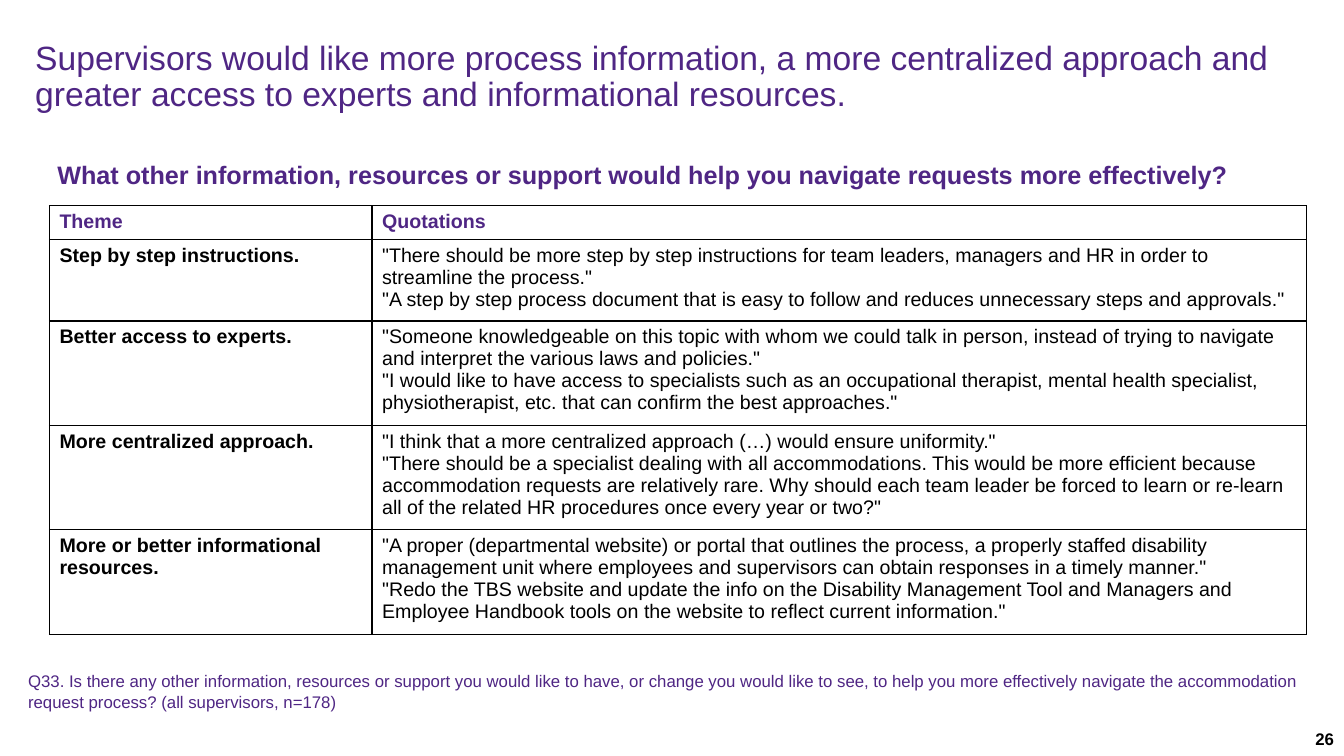
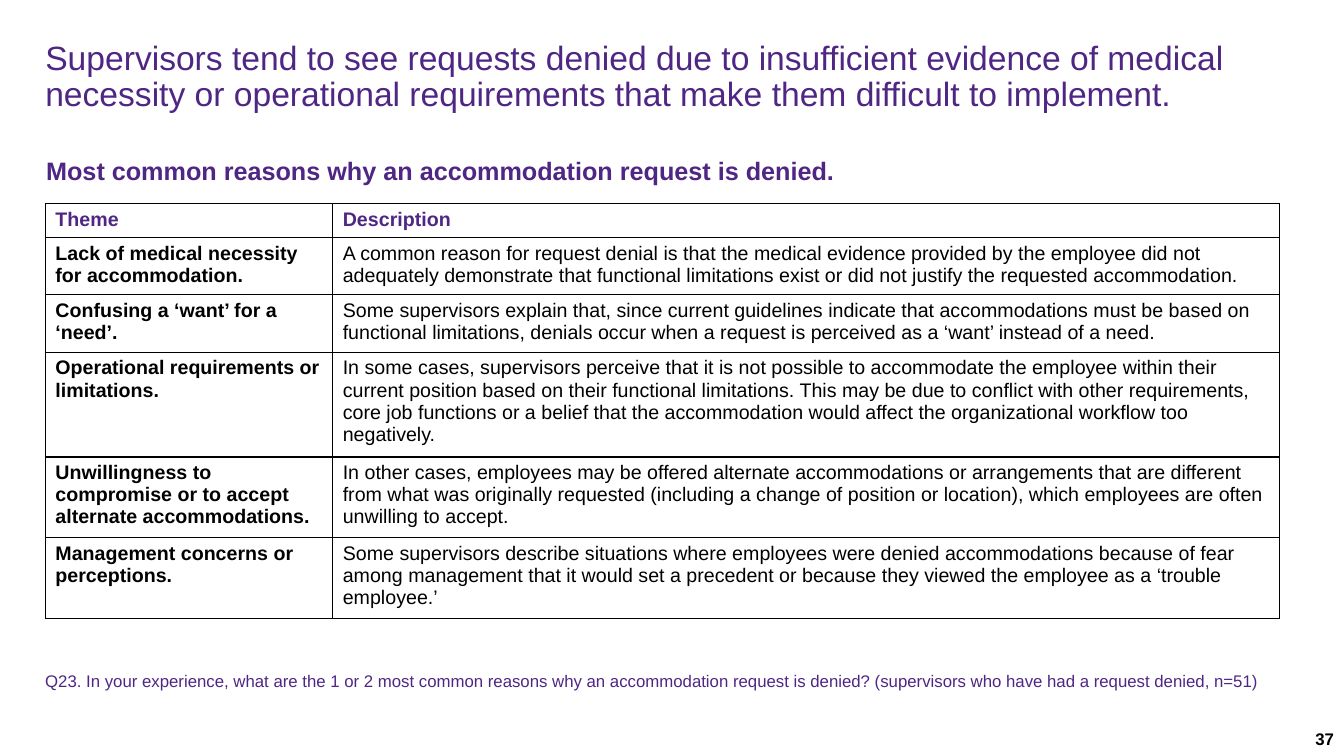
from dataclasses import dataclass

from lxml import etree
from pptx import Presentation
from pptx.dml.color import RGBColor
from pptx.enum import text
from pptx.oxml.ns import qn
from pptx.util import Inches, Pt

PURPLE = RGBColor(0x4F, 0x26, 0x84)
BLACK = RGBColor(0, 0, 0)
WHITE = RGBColor(0xFF, 0xFF, 0xFF)
FONT = "Arial"


@dataclass
class Box:
    left: float
    top: float
    width: float
    height: float


@dataclass
class Style:
    size: int
    color: RGBColor = PURPLE
    bold: bool = False


@dataclass
class Row:
    height: float
    theme: str
    detail: str


@dataclass
class ThemeSlide:
    title: str
    title_box: Box
    heading: str
    heading_box: Box
    table_left: float
    table_top: float
    columns: tuple[float, float]
    rows: list[Row]
    question: str
    question_box: Box
    number: int


# Shared styles and positions
TITLE = Style(24)
HEADING = Style(18, bold=True)
TABLE_HEAD = Style(14, bold=True)
THEME = Style(14, BLACK, True)
DETAIL = Style(14, BLACK)
QUESTION = Style(12)
NUMBER = Style(12, BLACK, True)
NUMBER_BOX = Box(10.33, 7.18, 3, 0.32)


def write(tf, content: str, style: Style) -> None:
    tf.text = content
    for p in tf.paragraphs:
        for r in p.runs:
            r.font.name = FONT
            r.font.size = Pt(style.size)
            r.font.bold = style.bold
            r.font.color.rgb = style.color


def add_text(slide, box: Box, content: str, style: Style, wrap: bool = True):
    sp = slide.shapes.add_textbox(Inches(box.left), Inches(box.top),
                                  Inches(box.width), Inches(box.height))
    tf = sp.text_frame
    tf.word_wrap = wrap
    write(tf, content, style)
    return tf


def add_title(slide, box: Box, content: str) -> None:
    tf = add_text(slide, box, content, TITLE)
    tf.margin_left = tf.margin_right = 0
    tf.margin_top = tf.margin_bottom = Inches(0.02)
    tf.paragraphs[0].line_spacing = 0.9


def add_borders(cell) -> None:
    tc_pr = cell._tc.get_or_add_tcPr()
    for i, side in enumerate(("lnL", "lnR", "lnT", "lnB")):
        line = etree.Element(qn(f"a:{side}"), w=str(Pt(1)))
        fill = etree.SubElement(line, qn("a:solidFill"))
        etree.SubElement(fill, qn("a:srgbClr"), val=str(BLACK))
        tc_pr.insert(i, line)


def add_theme_table(slide, data: ThemeSlide) -> None:
    height = sum(row.height for row in data.rows)
    frame = slide.shapes.add_table(
        len(data.rows), 2, Inches(data.table_left), Inches(data.table_top),
        Inches(sum(data.columns)), Inches(height))
    table = frame.table
    table.first_row = table.horz_banding = False
    for column, width in zip(table.columns, data.columns):
        column.width = Inches(width)
    for i, row in enumerate(data.rows):
        table.rows[i].height = Inches(row.height)
        styles = (THEME, DETAIL) if i else (TABLE_HEAD, TABLE_HEAD)
        for j, content in enumerate((row.theme, row.detail)):
            cell = table.cell(i, j)
            cell.fill.solid()
            cell.fill.fore_color.rgb = WHITE
            write(cell.text_frame, content, styles[j])
            add_borders(cell)


def add_theme_slide(prs, data: ThemeSlide) -> None:
    slide = prs.slides.add_slide(prs.slide_layouts[6])
    add_title(slide, data.title_box, data.title)
    add_text(slide, data.heading_box, data.heading, HEADING, wrap=False)
    add_theme_table(slide, data)
    add_text(slide, data.question_box, data.question, QUESTION)
    tf = add_text(slide, NUMBER_BOX, str(data.number), NUMBER)
    tf.paragraphs[0].alignment = text.PP_ALIGN.RIGHT


# Slide content
SLIDES = [
    ThemeSlide(
        title="Supervisors would like more process information, a more centralized "
              "approach and greater access to experts and informational resources.",
        title_box=Box(0.35, 0.39, 12.76, 0.77),
        heading="What other information, resources or support would help you "
                "navigate requests more effectively?",
        heading_box=Box(0.47, 1.53, 11.93, 0.4),
        table_left=0.49,
        table_top=2.04,
        columns=(3.2, 9.27),
        rows=[
            Row(0.32, "Theme", "Quotations"),
            Row(0.81, "Step by step instructions.",
                '"There should be more step by step instructions for team leaders, '
                'managers and HR in order to streamline the process."\n'
                '"A step by step process document that is easy to follow and reduces '
                'unnecessary steps and approvals."'),
            Row(1.03, "Better access to experts.",
                '"Someone knowledgeable on this topic with whom we could talk in '
                'person, instead of trying to navigate and interpret the various laws '
                'and policies."\n'
                '"I would like to have access to specialists such as an occupational '
                'therapist, mental health specialist, physiotherapist, etc. that can '
                'confirm the best approaches."'),
            Row(1.03, "More centralized approach.",
                '"I think that a more centralized approach (…) would ensure '
                'uniformity."\n'
                '"There should be a specialist dealing with all accommodations. This '
                'would be more efficient because accommodation requests are relatively '
                'rare. Why should each team leader be forced to learn or re-learn all '
                'of the related HR procedures once every year or two?"'),
            Row(1.04, "More or better informational resources.",
                '"A proper (departmental website) or portal that outlines the process, '
                'a properly staffed disability management unit where employees and '
                'supervisors can obtain responses in a timely manner."\n'
                '"Redo the TBS website and update the info on the Disability '
                'Management Tool and Managers and Employee Handbook tools on the '
                'website to reflect current information."'),
        ],
        question="Q33. Is there any other information, resources or support you would "
                 "like to have, or change you would like to see, to help you more "
                 "effectively navigate the accommodation request process? "
                 "(all supervisors, n=178)",
        question_box=Box(0.18, 6.61, 12.98, 0.5),
        number=26,
    ),
    ThemeSlide(
        title="Supervisors tend to see requests denied due to insufficient evidence of "
              "medical necessity or operational requirements that make them difficult "
              "to implement.",
        title_box=Box(0.45, 0.39, 12.7, 0.77),
        heading="Most common reasons why an accommodation request is denied.",
        heading_box=Box(0.36, 1.49, 8.03, 0.4),
        table_left=0.45,
        table_top=2.02,
        columns=(2.85, 9.39),
        rows=[
            Row(0.33, "Theme", "Description"),
            Row(0.57, "Lack of medical necessity for accommodation.",
                "A common reason for request denial is that the medical evidence "
                "provided by the employee did not adequately demonstrate that "
                "functional limitations exist or did not justify the requested "
                "accommodation."),
            Row(0.57, "Confusing a ‘want’ for a ‘need’.",
                "Some supervisors explain that, since current guidelines indicate that "
                "accommodations must be based on functional limitations, denials occur "
                "when a request is perceived as a ‘want’ instead of a need."),
            Row(1.04, "Operational requirements or limitations.",
                "In some cases, supervisors perceive that it is not possible to "
                "accommodate the employee within their current position based on their "
                "functional limitations. This may be due to conflict with other "
                "requirements, core job functions or a belief that the accommodation "
                "would affect the organizational workflow too negatively."),
            Row(0.8, "Unwillingness to compromise or to accept alternate "
                     "accommodations.",
                "In other cases, employees may be offered alternate accommodations or "
                "arrangements that are different from what was originally requested "
                "(including a change of position or location), which employees are "
                "often unwilling to accept."),
            Row(0.79, "Management concerns or perceptions.",
                "Some supervisors describe situations where employees were denied "
                "accommodations because of fear among management that it would set a "
                "precedent or because they viewed the employee as a ‘trouble "
                "employee.’"),
        ],
        question="Q23. In your experience, what are the 1 or 2 most common reasons why "
                 "an accommodation request is denied? (supervisors who have had a "
                 "request denied, n=51)",
        question_box=Box(0.35, 6.61, 12.5, 0.3),
        number=37,
    ),
]


def main() -> None:
    prs = Presentation()
    prs.slide_width = Inches(13.33)
    prs.slide_height = Inches(7.5)
    for data in SLIDES:
        add_theme_slide(prs, data)
    prs.save("out.pptx")


if __name__ == "__main__":
    main()
